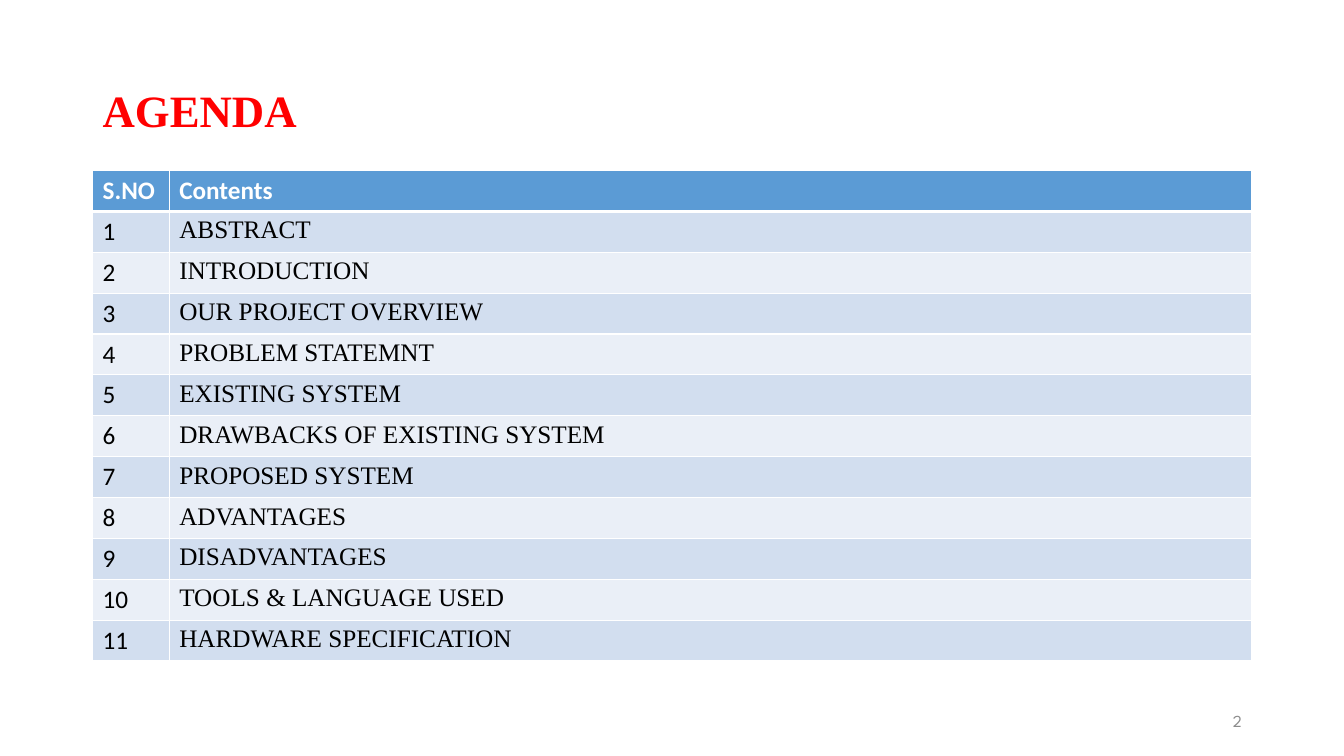
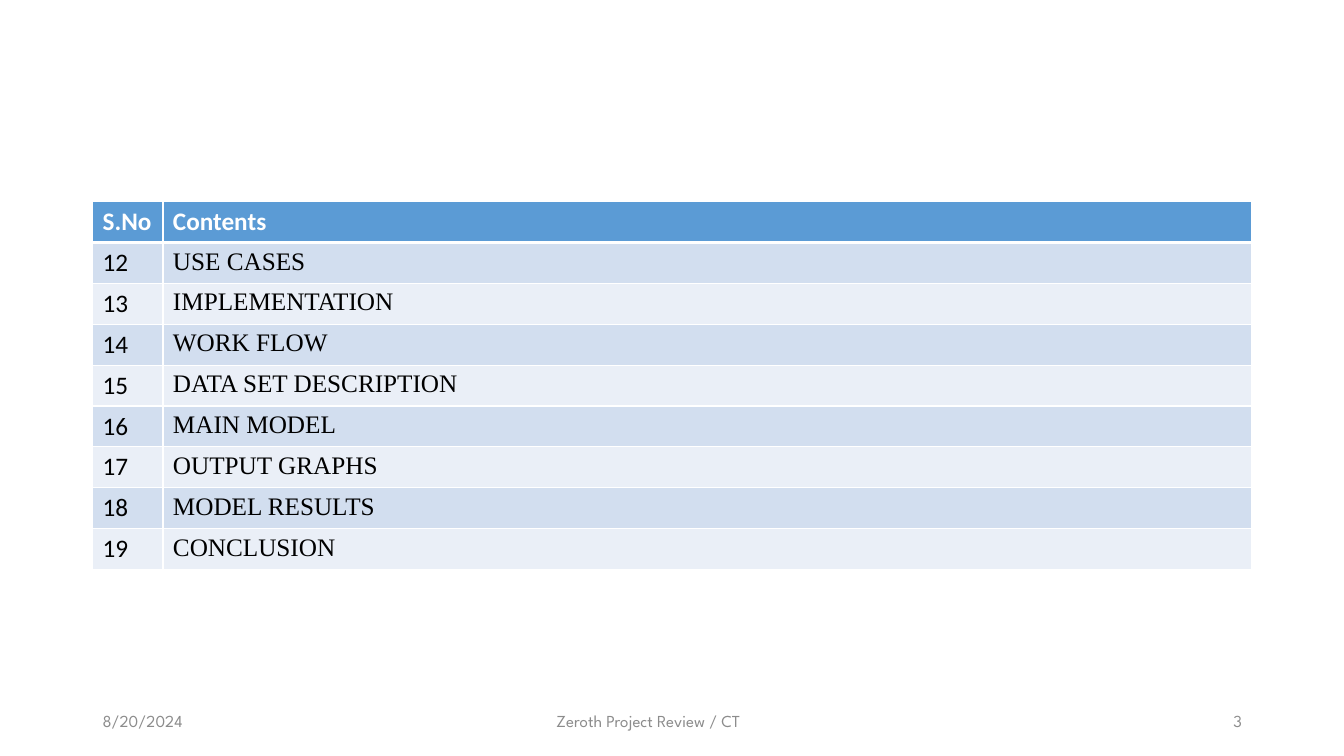
from lxml.etree import SubElement
from pptx import Presentation
from pptx.dml.color import RGBColor
from pptx.enum.text import MSO_ANCHOR, PP_ALIGN
from pptx.oxml.ns import qn
from pptx.util import Pt

WHITE, BLACK, RED = "FFFFFF", "000000", "FF0000"
BLUE, GREY = "5B9BD5", "8C8C8C"
BANDS = ("D2DEEF", "EAEFF7")
SANS, SERIF, FOOTER_FONT = "Calibri", "Times New Roman", "League Spartan"

LEFT, WIDTH = 66.2, 828
ROW_HEIGHT = 29.2
TITLE_BOX = (LEFT, 29, WIDTH, 104)
FOOTER_TOP, FOOTER_HEIGHT = 500.4, 28.8

TITLE = dict(name=SERIF, size=Pt(32), bold=True, color=RED)
HEADER = dict(name=SANS, size=Pt(18), bold=True, color=WHITE)
NUMBER = dict(name=SANS, size=Pt(18), bold=False, color=BLACK)
TOPIC = dict(NUMBER, name=SERIF)
FOOTER = dict(name=FOOTER_FONT, size=Pt(12), bold=False, color=GREY)

TOPICS = [
    "ABSTRACT", "INTRODUCTION", "OUR PROJECT OVERVIEW", "PROBLEM STATEMNT",
    "EXISTING SYSTEM", "DRAWBACKS OF EXISTING SYSTEM", "PROPOSED SYSTEM",
    "ADVANTAGES", "DISADVANTAGES", "TOOLS & LANGUAGE USED",
    "HARDWARE SPECIFICATION", "USE CASES", "IMPLEMENTATION", "WORK FLOW",
    "DATA SET DESCRIPTION", "MAIN MODEL", "OUTPUT GRAPHS", "MODEL RESULTS",
    "CONCLUSION",
]
FIRST_PAGE_COUNT = 11


def rgb(value):
    return RGBColor.from_string(value)


def write(p, text, style):
    r = p.add_run()
    r.text = text
    for key, value in style.items():
        if key == "color":
            r.font.color.rgb = rgb(value)
        else:
            setattr(r.font, key, value)


def add_text(s, box, text, style, align=PP_ALIGN.LEFT, spacing=1.0):
    tf = s.shapes.add_textbox(*map(Pt, box)).text_frame
    tf.word_wrap = True
    tf.vertical_anchor = MSO_ANCHOR.MIDDLE
    p = tf.paragraphs[0]
    p.alignment = align
    p.line_spacing = spacing
    write(p, text, style)


def set_borders(cell, top, bottom):
    tc_pr = cell._tc.get_or_add_tcPr()
    for side, width in (("L", 1), ("R", 1), ("T", top), ("B", bottom)):
        line = SubElement(tc_pr, qn(f"a:ln{side}"), w=str(Pt(width)))
        fill = SubElement(line, qn("a:solidFill"))
        SubElement(fill, qn("a:srgbClr"), val=WHITE)


def add_contents_table(s, box, number_width, number_title, first, topics):
    left, top, width = box
    rows = [(number_title, "Contents")]
    rows += [(str(n), topic) for n, topic in enumerate(topics, first)]
    height = ROW_HEIGHT * len(rows)
    table = s.shapes.add_table(
        len(rows), 2, Pt(left), Pt(top), Pt(width), Pt(height)).table
    for column, size in zip(table.columns, (number_width, width - number_width)):
        column.width = Pt(size)
    for i, values in enumerate(rows):
        table.rows[i].height = Pt(ROW_HEIGHT)
        styles = (NUMBER, TOPIC) if i else (HEADER, HEADER)
        for j, (text, style) in enumerate(zip(values, styles)):
            cell = table.cell(i, j)
            set_borders(cell, 3 if i == 1 else 1, 1 if i else 3)
            cell.fill.solid()
            cell.fill.fore_color.rgb = rgb(BANDS[(i - 1) % 2] if i else BLUE)
            write(cell.text_frame.paragraphs[0], text, style)


def add_footer(s, box, page, date=None, caption=None):
    left, top, width, height = box
    side = 216
    parts = (
        (date, left, side, PP_ALIGN.LEFT),
        (caption, left + 235, 324, PP_ALIGN.CENTER),
        (page, left + width - side, side, PP_ALIGN.RIGHT),
    )
    for text, x, part_width, align in parts:
        if text:
            add_text(s, (x, top, part_width, height), text, FOOTER, align)


def main():
    prs = Presentation()
    prs.slide_width, prs.slide_height = Pt(960), Pt(540)
    blank = prs.slide_layouts[6]
    footer_box = (LEFT, FOOTER_TOP, WIDTH, FOOTER_HEIGHT)

    s = prs.slides.add_slide(blank)
    add_text(s, TITLE_BOX, "AGENDA", TITLE, spacing=0.9)
    add_contents_table(s, (LEFT, 121.8, WIDTH), 54.7, "S.NO", 1,
                       TOPICS[:FIRST_PAGE_COUNT])
    add_footer(s, footer_box, "2")

    s = prs.slides.add_slide(blank)
    add_contents_table(s, (LEFT, 144, WIDTH), 50.2, "S.No",
                       FIRST_PAGE_COUNT + 1, TOPICS[FIRST_PAGE_COUNT:])
    add_footer(s, footer_box, "3", "8/20/2024", "Zeroth Project Review / CT")

    prs.save("out.pptx")


if __name__ == "__main__":
    main()
